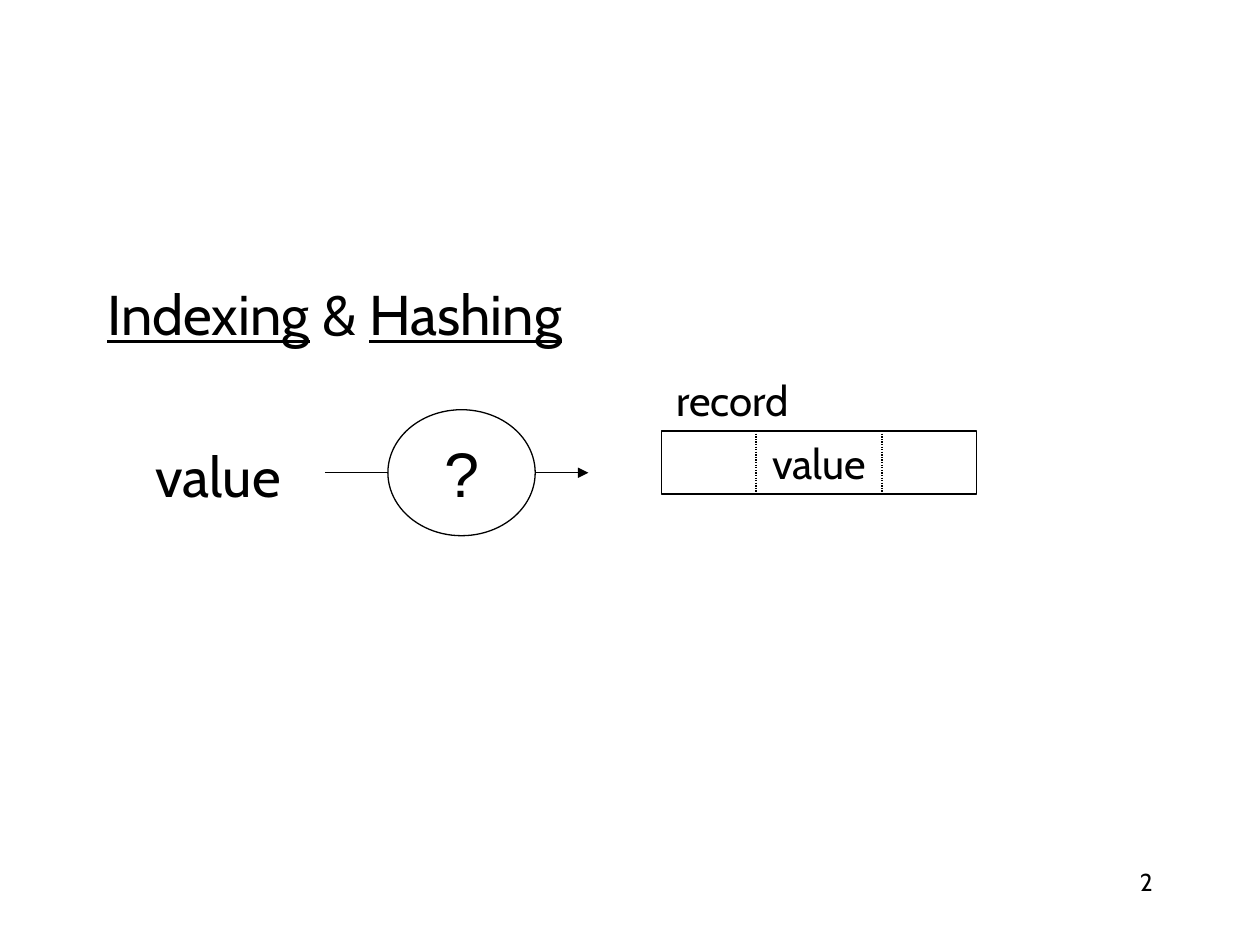
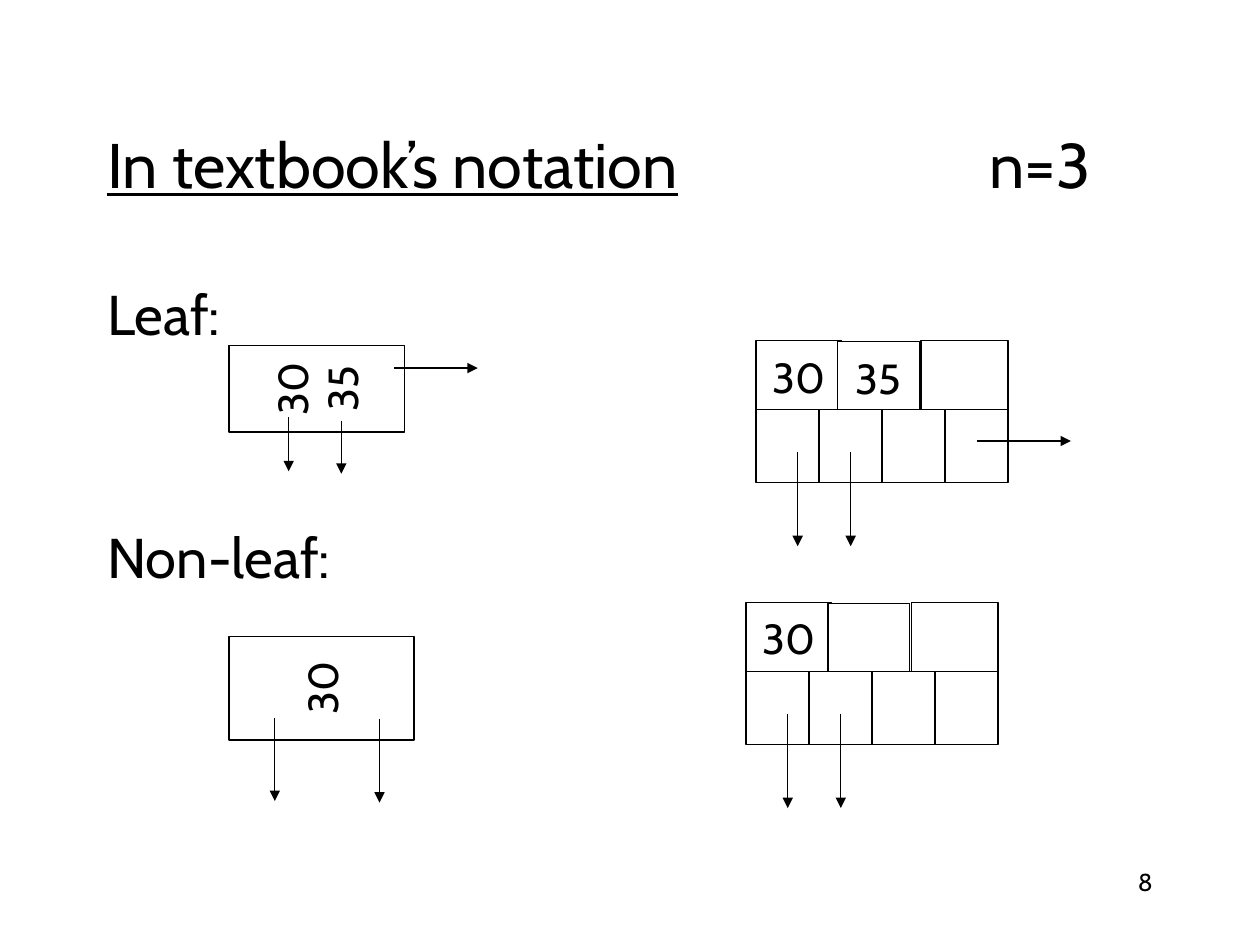
from dataclasses import dataclass

from lxml.etree import SubElement
from pptx import Presentation
from pptx.dml.color import RGBColor
from pptx.enum.dml import MSO_LINE
from pptx.enum.shapes import MSO_CONNECTOR, MSO_SHAPE
from pptx.enum.text import MSO_ANCHOR, MSO_AUTO_SIZE, PP_ALIGN
from pptx.oxml.ns import qn
from pptx.util import Cm, Pt

BLACK = "000000"
WHITE = "FFFFFF"
TEXT_FONT = "Cabin"
LINE_WIDTH = 0.74
MARGIN = 1.91
CONTENT_WIDTH = 21.59
HANGING_INDENT = 0.97
LINE_PITCH = 46.3
PARAGRAPH_GAP = 8


@dataclass(frozen=True)
class Box:
    left: float
    top: float
    width: float
    height: float

    def lengths(self) -> tuple:
        return Cm(self.left), Cm(self.top), Cm(self.width), Cm(self.height)


@dataclass(frozen=True)
class Line:
    start_x: float
    start_y: float
    end_x: float
    end_y: float
    arrow: bool = True
    dotted: bool = False


@dataclass(frozen=True)
class Node:
    left: float
    top: float
    keys: tuple


TITLE_BOX = Box(MARGIN, 1.7, CONTENT_WIDTH, 3.18)
BODY_BOX = Box(MARGIN, 5.51, CONTENT_WIDTH, 11.43)
NUMBER_BOX = Box(18.21, 17.35, 5.28, 1.27)
KEY_CELLS = (
    Box(0, 0, 1.73, 1.45),
    Box(1.65, 0.03, 1.65, 1.45),
    Box(3.33, 0, 1.75, 1.45),
)
POINTER_CELL = Box(0, 1.4, 1.27, 1.47)
POINTER_COUNT = 4
POINTER_ARROWS = (0.84, 1.91)
POINTER_ARROW_TOP = 2.25
POINTER_ARROW_LENGTH = 1.9


def color(value: str) -> RGBColor:
    return RGBColor.from_string(value)


def add_text(paragraph, text: str, *, size: float = 24, font: str = TEXT_FONT,
             underline: bool = False, align=PP_ALIGN.LEFT) -> None:
    paragraph.alignment = align
    run = paragraph.add_run()
    run.text = text
    run.font.size = Pt(size)
    run.font.name = font
    run.font.bold = False
    run.font.underline = underline
    run.font.color.rgb = color(BLACK)


def place(shape, box: Box) -> None:
    shape.left, shape.top, shape.width, shape.height = box.lengths()


def add_label(slide, box: Box, text: str, *, size: float = 24,
              align=PP_ALIGN.CENTER, anchor=MSO_ANCHOR.MIDDLE) -> None:
    frame = slide.shapes.add_textbox(*box.lengths()).text_frame
    frame.word_wrap = align != PP_ALIGN.CENTER
    frame.vertical_anchor = anchor
    add_text(frame.paragraphs[0], text, size=size, align=align)


def add_box(shapes, box: Box, lines: tuple = (), *, kind=MSO_SHAPE.RECTANGLE,
            size: float = 24, font: str = TEXT_FONT, rotation: float = 0) -> None:
    shape = shapes.add_shape(kind, *box.lengths())
    shape.shadow.inherit = False
    shape.rotation = rotation
    shape.fill.solid()
    shape.fill.fore_color.rgb = color(WHITE)
    shape.line.color.rgb = color(BLACK)
    shape.line.width = Pt(LINE_WIDTH)
    frame = shape.text_frame
    frame.word_wrap = False
    frame.vertical_anchor = MSO_ANCHOR.MIDDLE
    for index, text in enumerate(lines):
        paragraph = frame.add_paragraph() if index else frame.paragraphs[0]
        add_text(paragraph, text, size=size, font=font, align=PP_ALIGN.CENTER)


def add_line(slide, line: Line) -> None:
    connector = slide.shapes.add_connector(
        MSO_CONNECTOR.STRAIGHT, Cm(line.start_x), Cm(line.start_y),
        Cm(line.end_x), Cm(line.end_y))
    connector.line.color.rgb = color(BLACK)
    connector.line.width = Pt(LINE_WIDTH)
    if line.dotted:
        connector.line.dash_style = MSO_LINE.ROUND_DOT
    if line.arrow:
        SubElement(connector.line._get_or_add_ln(), qn("a:tailEnd"), type="triangle")
    SubElement(connector.element.spPr, qn("a:effectLst"))


def add_body_paragraph(frame, parts: tuple, *, blank_lines: int = 0,
                       hanging: bool = True) -> None:
    first = frame.paragraphs[0]
    paragraph = frame.add_paragraph() if first.runs else first
    paragraph.space_before = Pt(PARAGRAPH_GAP + blank_lines * LINE_PITCH)
    properties = paragraph._p.get_or_add_pPr()
    properties.set("marL", str(Cm(HANGING_INDENT)))
    properties.set("indent", str(Cm(-HANGING_INDENT if hanging else 0)))
    SubElement(properties, qn("a:buNone"))
    for text, underline in parts:
        add_text(paragraph, text, size=32, underline=underline)


def add_title(slide, text: str, note: str, note_offset: float) -> None:
    title = slide.shapes.title
    place(title, TITLE_BOX)
    frame = title.text_frame
    frame.auto_size = MSO_AUTO_SIZE.NONE
    frame.vertical_anchor = MSO_ANCHOR.MIDDLE
    paragraph = frame.paragraphs[0]
    add_text(paragraph, text, size=36, underline=True)
    add_text(paragraph, "\t" + note, size=36)
    tabs = SubElement(paragraph._p.get_or_add_pPr(), qn("a:tabLst"))
    SubElement(tabs, qn("a:tab"), pos=str(Cm(note_offset)), algn="l")


def add_slide(presentation, number: str) -> tuple:
    slide = presentation.slides.add_slide(presentation.slide_layouts[1])
    body = slide.placeholders[1]
    place(body, BODY_BOX)
    body.text_frame.auto_size = MSO_AUTO_SIZE.NONE
    add_label(slide, NUMBER_BOX, number, size=14, align=PP_ALIGN.RIGHT,
              anchor=MSO_ANCHOR.TOP)
    return slide, body.text_frame


def add_node(slide, node: Node) -> None:
    for index, cell in enumerate(KEY_CELLS):
        box = Box(node.left + cell.left, node.top + cell.top, cell.width, cell.height)
        add_box(slide.shapes, box, node.keys[index:index + 1])
    pointers = slide.shapes.add_group_shape()
    for index in range(POINTER_COUNT):
        add_box(pointers.shapes, Box(
            node.left + index * POINTER_CELL.width, node.top + POINTER_CELL.top,
            POINTER_CELL.width, POINTER_CELL.height))
    arrow_top = node.top + POINTER_ARROW_TOP
    for offset in POINTER_ARROWS:
        x = node.left + offset
        add_line(slide, Line(x, arrow_top, x, arrow_top + POINTER_ARROW_LENGTH))


def build_indexing_slide(presentation) -> None:
    slide, body = add_slide(presentation, "2")
    title = slide.shapes.title.element
    title.getparent().remove(title)
    add_body_paragraph(body, (("Indexing", True), (" & ", False), ("Hashing", True)))
    add_body_paragraph(body, (("value", False),), blank_lines=1, hanging=False)
    add_box(slide.shapes, Box(7.82, 8.26, 2.97, 2.54), ("?",),
            kind=MSO_SHAPE.OVAL, size=36, font="Arial")
    record = Box(13.34, 8.69, 6.35, 1.27)
    add_box(slide.shapes, record, ("value",))
    add_label(slide, Box(13.21, 7.42, 3.12, 1.27), "record")
    add_line(slide, Line(6.55, 9.53, 7.82, 9.53, arrow=False))
    add_line(slide, Line(10.8, 9.53, 11.86, 9.53))
    for x in (15.24, 17.78):
        add_line(slide, Line(x, record.top, x, record.top + record.height,
                             arrow=False, dotted=True))


def build_notation_slide(presentation) -> None:
    slide, body = add_slide(presentation, "8")
    add_title(slide, "In textbook’s notation", "n=3", 17.78)
    add_body_paragraph(body, (("Leaf:", False),))
    add_body_paragraph(body, (("Non-leaf:", False),), blank_lines=2)
    add_box(slide.shapes, Box(5.51, 6.07, 1.75, 3.53), ("30", "35"), rotation=270)
    add_box(slide.shapes, Box(5.44, 12.01, 2.08, 3.73), ("30",), rotation=270)
    add_node(slide, Node(15.24, 6.86, ("30", "35")))
    add_node(slide, Node(15.04, 12.14, ("30",)))
    for line in (
        Line(7.95, 7.42, 9.63, 7.42),
        Line(5.82, 8.41, 5.82, 9.5),
        Line(6.88, 8.48, 6.88, 9.55),
        Line(5.54, 14.48, 5.54, 16.15),
        Line(7.65, 14.5, 7.65, 16.18),
        Line(19.69, 8.89, 21.59, 8.89),
    ):
        add_line(slide, line)


def main() -> None:
    presentation = Presentation()
    presentation.slide_width = Cm(25.4)
    presentation.slide_height = Cm(19.05)
    build_indexing_slide(presentation)
    build_notation_slide(presentation)
    presentation.save("out.pptx")


main()
